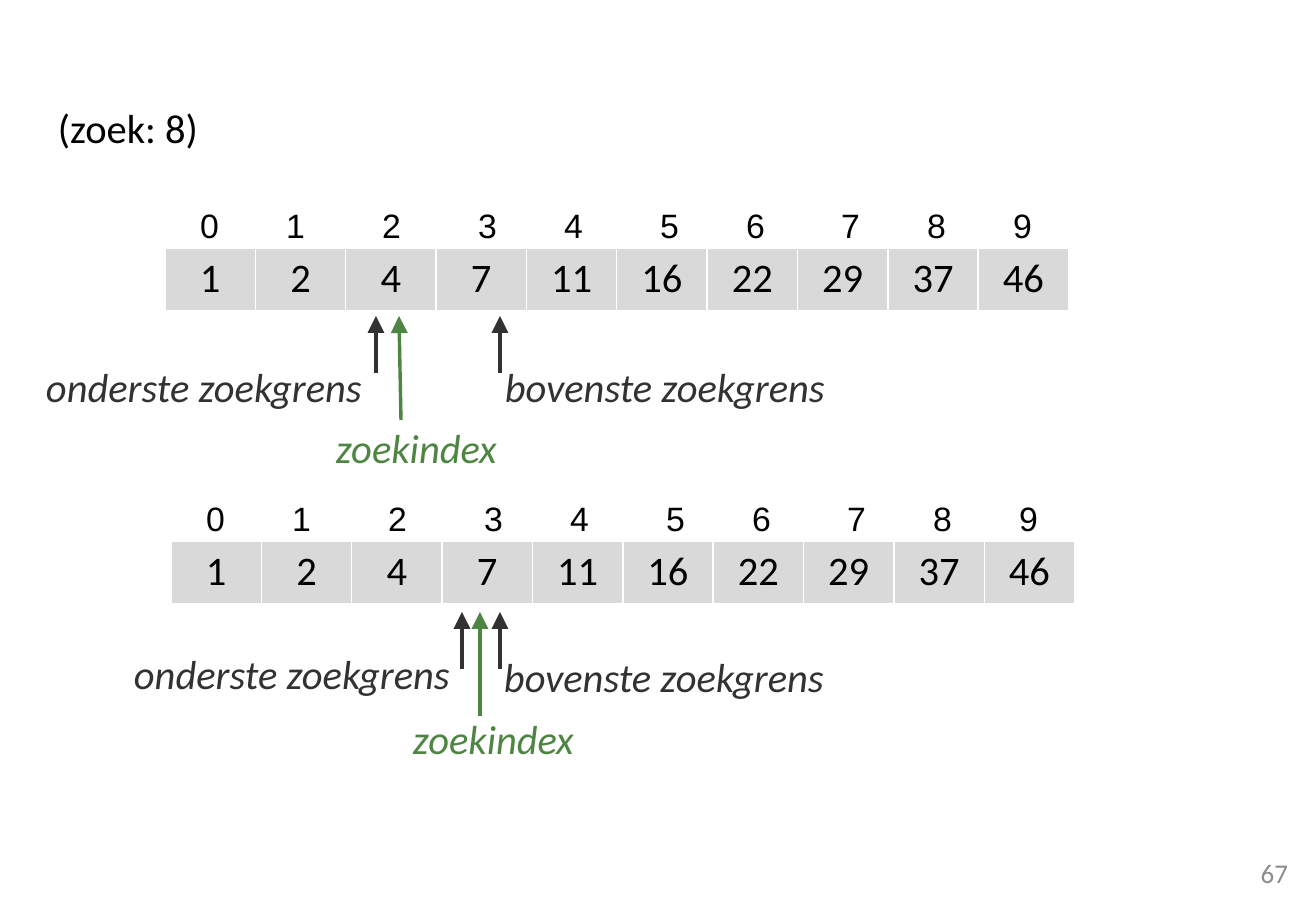
from itertools import accumulate

from lxml.etree import SubElement
from pptx import Presentation
from pptx.dml.color import RGBColor
from pptx.enum.shapes import MSO_CONNECTOR
from pptx.enum.text import MSO_ANCHOR, PP_ALIGN
from pptx.oxml import parse_xml
from pptx.oxml.ns import nsdecls, qn
from pptx.util import Pt

SCALE = 7526
COLORS = {"black": "000000", "dark": "323232", "green": "4E8542",
          "cell": "D9D9D9", "white": "FFFFFF", "gray": "8C8C8C"}
VALUES = [1, 2, 4, 7, 11, 16, 22, 29, 37, 46]
STEPS = [0, 86, 96, 96, 86, 96, 86, 95, 86, 86]
BORDERS = {"L": 1, "R": 1, "T": 1, "B": 3}


def px(value):
    return value * SCALE


def color(name):
    return RGBColor.from_string(COLORS[name])


class Painter:
    """Draw styled elements on the current slide."""

    def __init__(self, deck):
        self.slide = deck.slides.add_slide(deck.slide_layouts[6])
        self.shapes = self.slide.shapes

    def style(self, para, text, tint="black", size=24, face="Calibri",
              align=PP_ALIGN.LEFT, italic=False):
        para.text = str(text)
        para.alignment = align
        font = para.font
        font.name, font.size = face, Pt(size)
        font.bold, font.italic = False, italic
        font.color.rgb = color(tint)

    def text(self, box, text, wrap=True, anchor=MSO_ANCHOR.TOP, **look):
        frame = self.shapes.add_textbox(*map(px, box)).text_frame
        frame.word_wrap = wrap
        frame.vertical_anchor = anchor
        self.style(frame.paragraphs[0], text, **look)

    def table(self, left, top, values):
        holder = self.shapes.add_table(1, len(values), px(left), px(top),
                                       px(904), px(64))
        table = holder.table
        table.first_row = table.horz_banding = False
        for cell, value in zip(table.rows[0].cells, values):
            self.style(cell.text_frame.paragraphs[0], value,
                       align=PP_ALIGN.CENTER)
            self.border(cell)
            cell.fill.solid()
            cell.fill.fore_color.rgb = color("cell")

    def border(self, cell):
        props = cell._tc.get_or_add_tcPr()
        for side, width in BORDERS.items():
            props.append(parse_xml(
                f'<a:ln{side} {nsdecls("a")} w="{Pt(width)}"><a:solidFill>'
                f'<a:srgbClr val="{COLORS["white"]}"/></a:solidFill>'
                f'</a:ln{side}>'))

    def arrow(self, start, end, tint):
        link = self.shapes.add_connector(MSO_CONNECTOR.STRAIGHT,
                                         *map(px, start + end))
        link.line.width = Pt(2)
        link.line.color.rgb = color(tint)
        SubElement(link.line._get_or_add_ln(), qn("a:tailEnd"),
                   type="triangle", w="lg", len="lg")
        SubElement(link._element.spPr, qn("a:effectLst"))

    def array(self, left, top):
        for index, shift in enumerate(accumulate(STEPS)):
            self.text((left - 1 + shift, top - 48, 91, 51), index,
                      wrap=False, anchor=MSO_ANCHOR.MIDDLE, size=20,
                      face="Arial", align=PP_ALIGN.CENTER)
        self.table(left, top, VALUES)

    def marker(self, text, spot, width, start, end, tint="dark"):
        self.text((*spot, width, 61), text, tint=tint, italic=True)
        self.arrow(start, end, tint)

    def bounds(self, tip, lower, upper, search):
        low, high, middle = "onderste zoekgrens", "bovenste zoekgrens", "zoekindex"
        for text, width, (spot, x) in ((low, 365, lower), (high, 371, upper)):
            self.marker(text, spot, width, (x, tip + 57), (x, tip))
        spot, tail, x = search
        self.marker(middle, spot, 208, (tail, tip + 104), (x, tip), "green")


deck = Presentation()
deck.slide_width, deck.slide_height = px(1316), px(911)
page = Painter(deck)
page.text((46, 97, 1196, 61), "(zoek: 8)")
page.array(165, 248)
page.bounds(316, ((34, 356), 376), ((493, 356), 500), ((324, 417), 401, 399))
page.array(171, 541)
page.bounds(612, ((122, 643), 462), ((492, 646), 500), ((401, 708), 480, 480))
page.text((993, 848, 307, 49), 67, anchor=MSO_ANCHOR.MIDDLE,
          tint="gray", size=16, align=PP_ALIGN.RIGHT)
deck.save("out.pptx")
